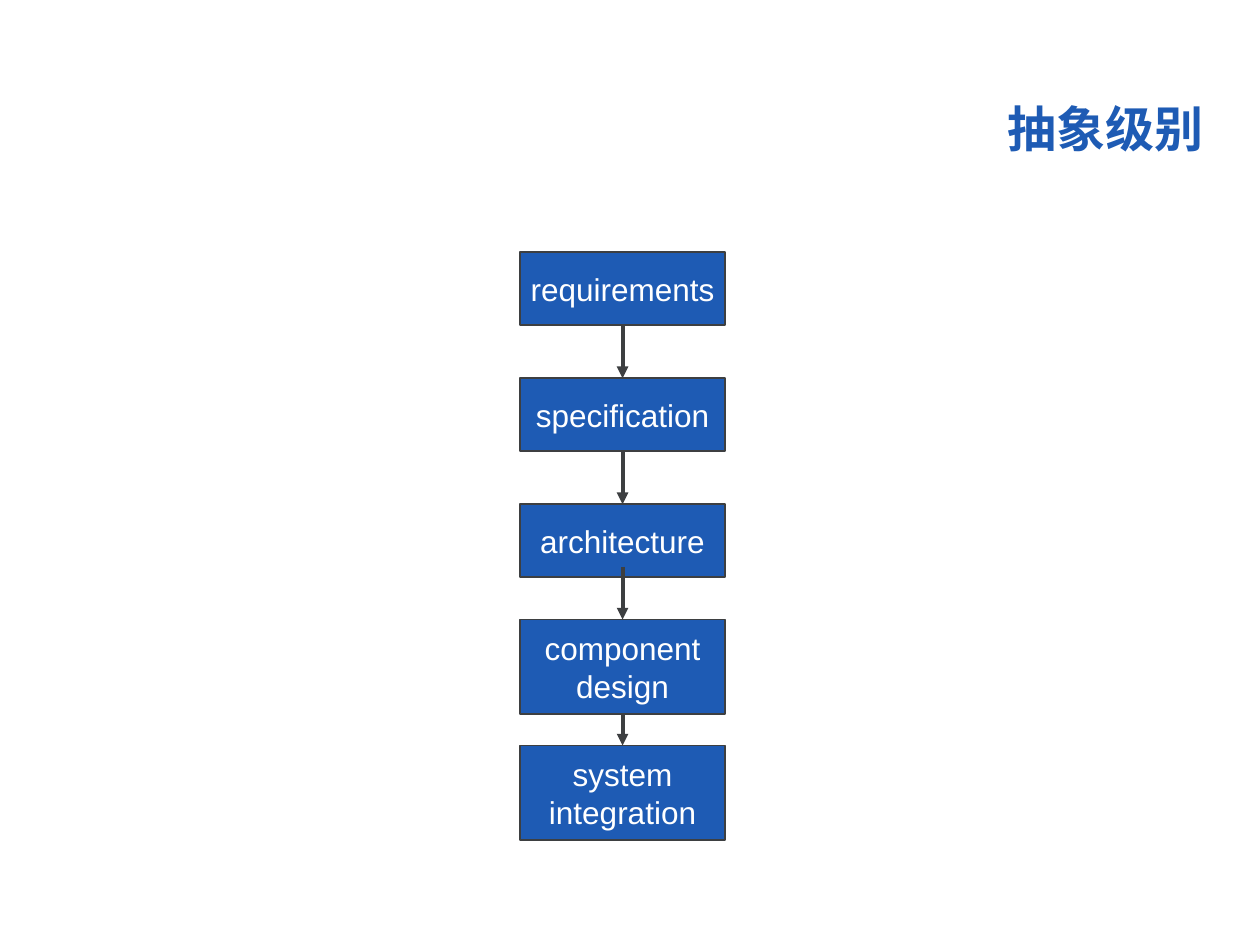
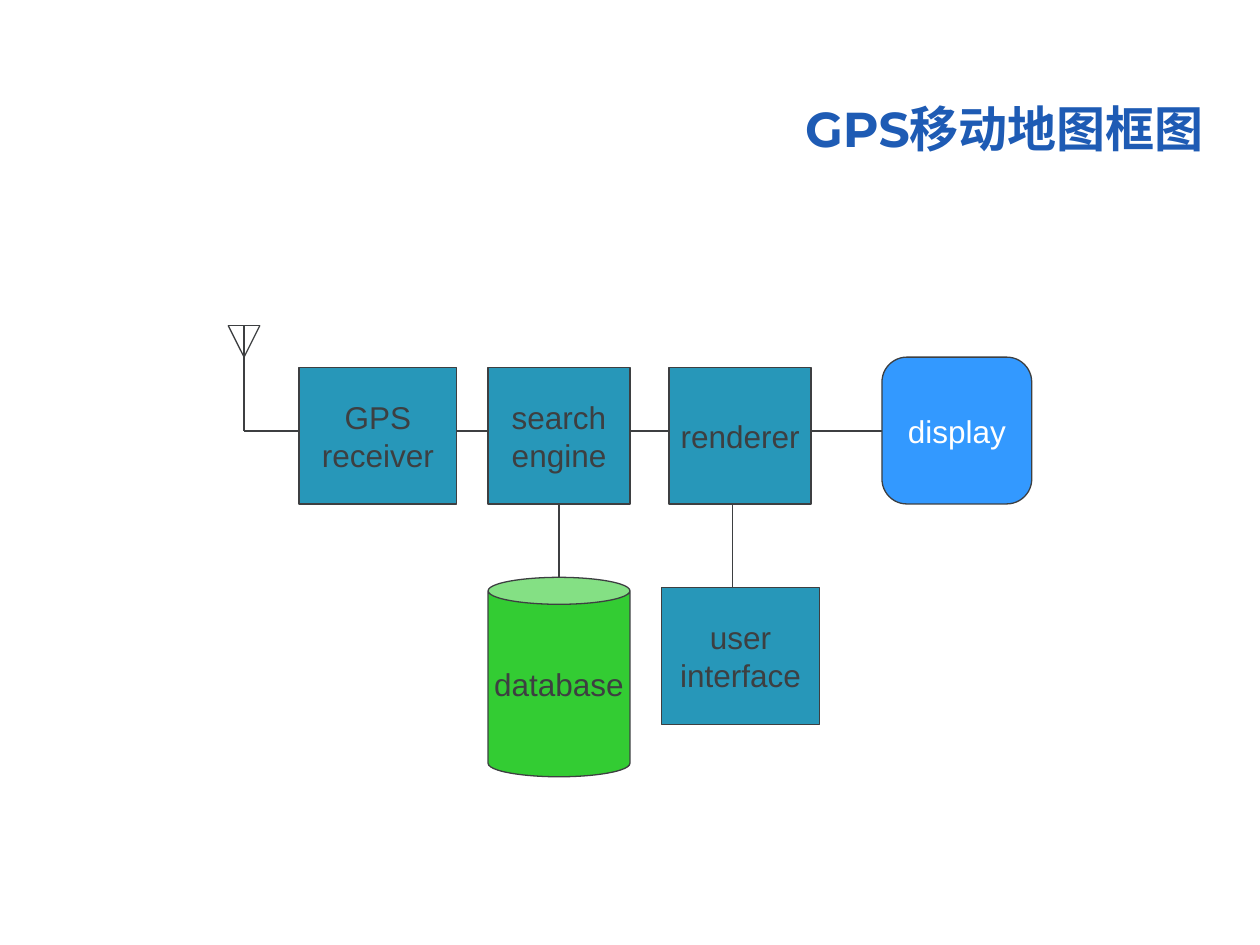
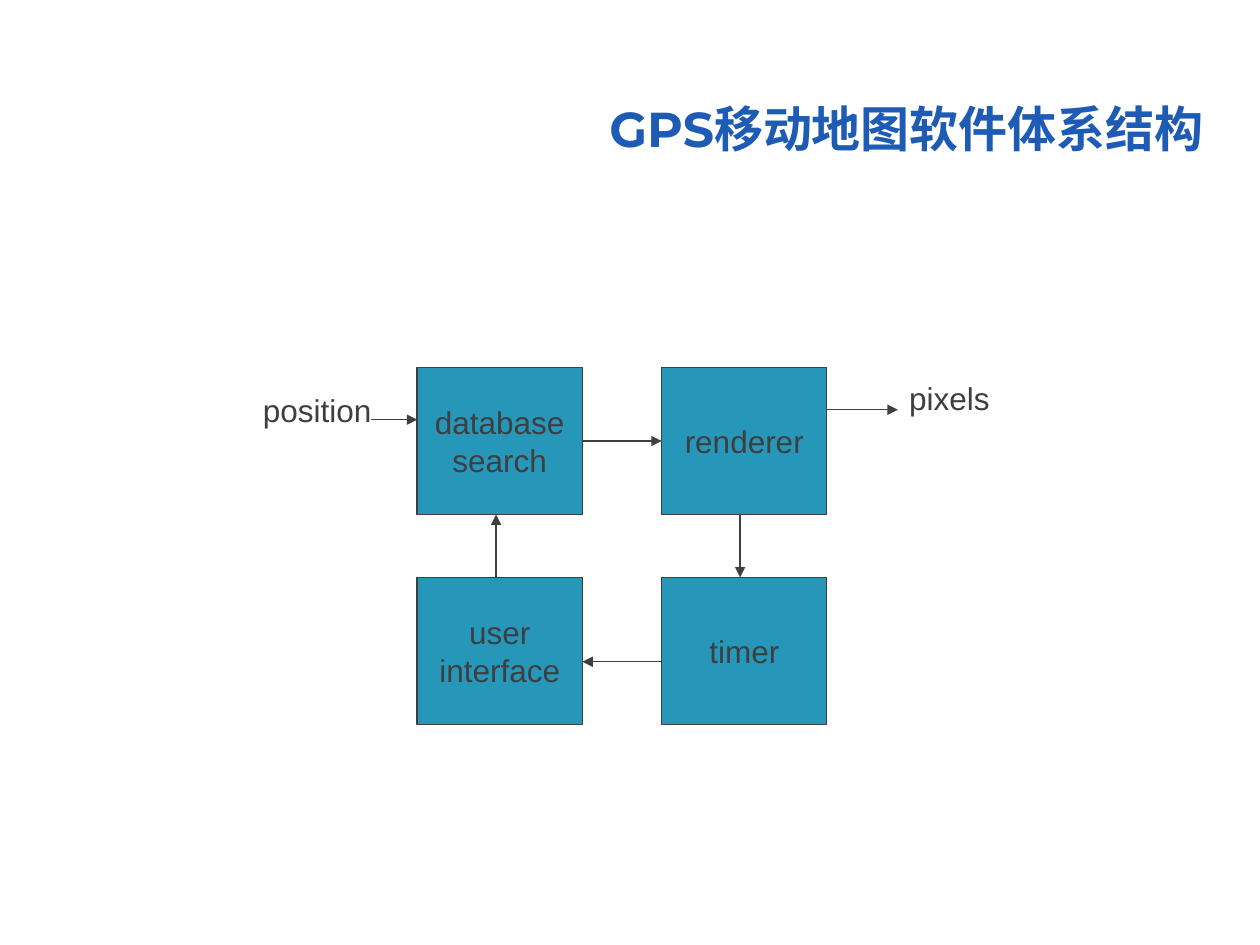
from dataclasses import dataclass

from pptx import Presentation
from pptx import util as u
from pptx.dml import color
from pptx.enum import shapes, text
from pptx.oxml import ns, xmlchemy

COLORS = {
    "blue": "1E5BB4",
    "teal": "2797B9",
    "green": "33CC33",
    "sky": "3399FF",
    "ink": "3D3F41",
    "white": "FFFFFF",
}
BODY_FONT = "Arial"
TITLE_FONT = "Montserrat"


@dataclass(frozen=True)
class Box:
    label: str
    left: float
    top: float
    width: float
    height: float
    fill: str = "teal"
    ink: str = "ink"
    outline: float = 0.75
    kind: shapes.MSO_SHAPE = shapes.MSO_SHAPE.RECTANGLE
    adjustment: float | None = None


@dataclass(frozen=True)
class Line:
    x1: float
    y1: float
    x2: float
    y2: float
    weight: float = 0.75
    arrow: bool = False


@dataclass(frozen=True)
class Level:
    label: str
    height: float
    arrow_length: float


@dataclass(frozen=True)
class Label:
    label: str
    left: float
    top: float
    width: float


def rgb(name: str) -> color.RGBColor:
    return color.RGBColor.from_string(COLORS[name])


def write(frame, content: str, ink: str, align, size: int = 18,
          font: str = BODY_FONT, bold: bool = False) -> None:
    frame.text = content
    for paragraph in frame.paragraphs:
        paragraph.alignment = align
        paragraph.font.name = font
        paragraph.font.size = u.Pt(size)
        paragraph.font.bold = bold
        paragraph.font.color.rgb = rgb(ink)


def add_titled_slide(presentation, title: str):
    slide = presentation.slides.add_slide(presentation.slide_layouts[6])
    shape = slide.shapes.add_textbox(u.Cm(7.47), u.Cm(1.35), u.Cm(17.04), u.Cm(1.96))
    frame = shape.text_frame
    frame.word_wrap = True
    frame.vertical_anchor = text.MSO_ANCHOR.BOTTOM
    write(frame, title, "blue", text.PP_ALIGN.RIGHT, 28, TITLE_FONT, True)
    frame.paragraphs[0].line_spacing = 0.9
    return slide


def draw_box(slide, box: Box) -> None:
    shape = slide.shapes.add_shape(
        box.kind, u.Cm(box.left), u.Cm(box.top), u.Cm(box.width), u.Cm(box.height))
    if box.adjustment is not None:
        shape.adjustments[0] = box.adjustment
    shape.shadow.inherit = False
    shape.fill.solid()
    shape.fill.fore_color.rgb = rgb(box.fill)
    shape.line.color.rgb = rgb("ink")
    shape.line.width = u.Pt(box.outline)
    shape.text_frame.word_wrap = False
    shape.text_frame.vertical_anchor = text.MSO_ANCHOR.MIDDLE
    write(shape.text_frame, box.label, box.ink, text.PP_ALIGN.CENTER)


def draw_line(slide, line: Line) -> None:
    connector = slide.shapes.add_connector(
        shapes.MSO_CONNECTOR.STRAIGHT,
        u.Cm(line.x1), u.Cm(line.y1), u.Cm(line.x2), u.Cm(line.y2))
    connector.line.color.rgb = rgb("ink")
    connector.line.width = u.Pt(line.weight)
    properties = connector._element.spPr
    properties.append(xmlchemy.OxmlElement("a:effectLst"))
    if line.arrow:
        tail = xmlchemy.OxmlElement("a:tailEnd")
        tail.set("type", "triangle")
        properties.find(ns.qn("a:ln")).append(tail)


def draw_label(slide, label: Label) -> None:
    shape = slide.shapes.add_textbox(
        u.Cm(label.left), u.Cm(label.top), u.Cm(label.width), u.Cm(1.02))
    shape.text_frame.word_wrap = False
    shape.text_frame.auto_size = text.MSO_AUTO_SIZE.SHAPE_TO_FIT_TEXT
    write(shape.text_frame, label.label, "ink", text.PP_ALIGN.LEFT)


def build_abstraction_levels(presentation) -> None:
    slide = add_titled_slide(presentation, "抽象级别")
    left, width, first_center, pitch = 10.49, 4.12, 5.82, 2.54
    axis = left + width / 2
    levels = [
        Level("requirements", 1.47, 0),
        Level("specification", 1.47, 1.07),
        Level("architecture", 1.47, 1.07),
        Level("component\ndesign", 1.9, 1.07),
        Level("system\nintegration", 1.9, 0.64),
    ]
    for index, level in enumerate(levels):
        top = first_center + index * pitch - level.height / 2
        draw_box(slide, Box(level.label, left, top, width, level.height,
                            "blue", "white", 1))
        if level.arrow_length:
            draw_line(slide, Line(axis, top - level.arrow_length, axis, top, 2.25, True))


def build_block_diagram(presentation) -> None:
    slide = add_titled_slide(presentation, "GPS移动地图框图")
    signal_y, row_top, row_bottom, block_height = 8.69, 7.41, 10.16, 2.75
    database_left, database_top, narrow, wide = 9.84, 11.64, 2.86, 3.18
    interface_left, interface_top = 13.34, 11.85
    display_left, display_top = 17.78, 7.2
    antenna_x, antenna_top, antenna_tip, antenna_half = 4.92, 6.56, 7.2, 0.32
    antenna_left, antenna_right = antenna_x - antenna_half, antenna_x + antenna_half
    database_x = database_left + narrow / 2
    renderer_x = 14.76

    draw_line(slide, Line(antenna_x, signal_y, display_left, signal_y))
    for box in [
        Box("GPS\nreceiver", 6.03, row_top, wide, block_height),
        Box("search\nengine", database_left, row_top, narrow, block_height),
        Box("renderer", 13.49, row_top, narrow, block_height),
        Box("user\ninterface", interface_left, interface_top, wide, block_height),
        Box("database", database_left, database_top, narrow, 4.02, "green",
            kind=shapes.MSO_SHAPE.CAN, adjustment=0.19),
        Box("display", display_left, display_top, 3.02, row_bottom - display_top,
            "sky", "white", kind=shapes.MSO_SHAPE.ROUNDED_RECTANGLE, adjustment=0.17),
    ]:
        draw_box(slide, box)
    for line in [
        Line(antenna_x, antenna_top, antenna_x, signal_y),
        Line(antenna_left, antenna_top, antenna_right, antenna_top),
        Line(antenna_left, antenna_top, antenna_x, antenna_tip),
        Line(antenna_x, antenna_tip, antenna_right, antenna_top),
        Line(renderer_x, row_bottom, renderer_x, interface_top),
        Line(database_x, database_top, database_x, row_bottom),
    ]:
        draw_line(slide, line)


def build_software_architecture(presentation) -> None:
    slide = add_titled_slide(presentation, "GPS移动地图软件体系结构")
    width, height = 3.33, 2.96
    columns, rows = (8.41, 13.34), (7.41, 11.64)
    modules = [["database\nsearch", "renderer"], ["user\ninterface", "timer"]]
    for top, labels in zip(rows, modules):
        for left, label in zip(columns, labels):
            draw_box(slide, Box(label, left, top, width, height))

    draw_label(slide, Label("position", 5.05, 7.75, 2.69))
    draw_label(slide, Label("pixels", 18.08, 7.52, 2.13))

    left_edge, right_edge = columns[0] + width, columns[1] + width
    upper_bottom = rows[0] + height
    for ends in [
        (7.47, 8.46, columns[0], 8.46),
        (right_edge, 8.26, 18.1, 8.26),
        (left_edge, 8.89, columns[1], 8.89),
        (14.92, upper_bottom, 14.92, rows[1]),
        (columns[1], 13.34, left_edge, 13.34),
        (10, rows[1], 10, upper_bottom),
    ]:
        draw_line(slide, Line(*ends, arrow=True))


def main() -> None:
    presentation = Presentation()
    presentation.slide_width = u.Cm(25.4)
    presentation.slide_height = u.Cm(19.05)
    build_abstraction_levels(presentation)
    build_block_diagram(presentation)
    build_software_architecture(presentation)
    presentation.save("out.pptx")


if __name__ == "__main__":
    main()
